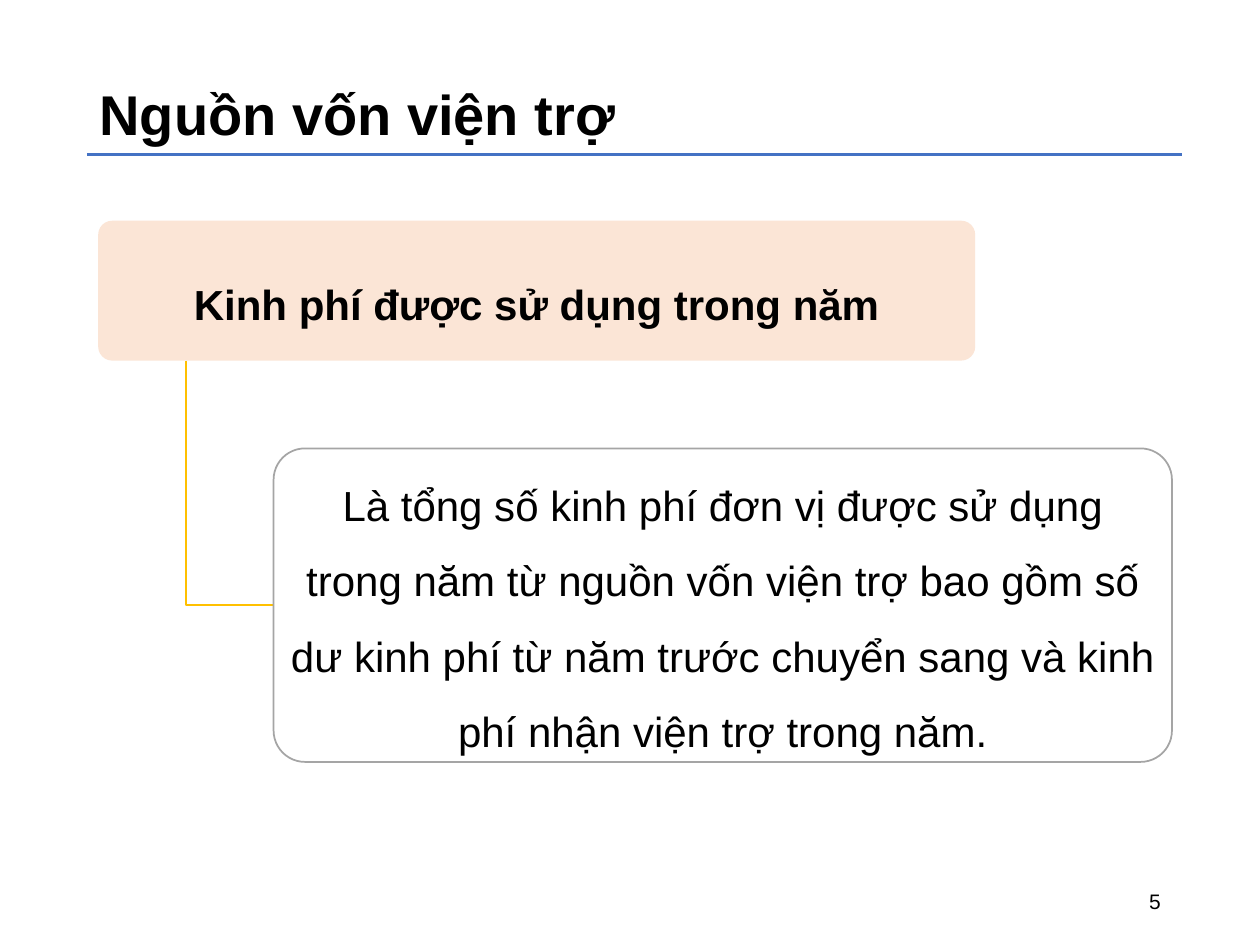
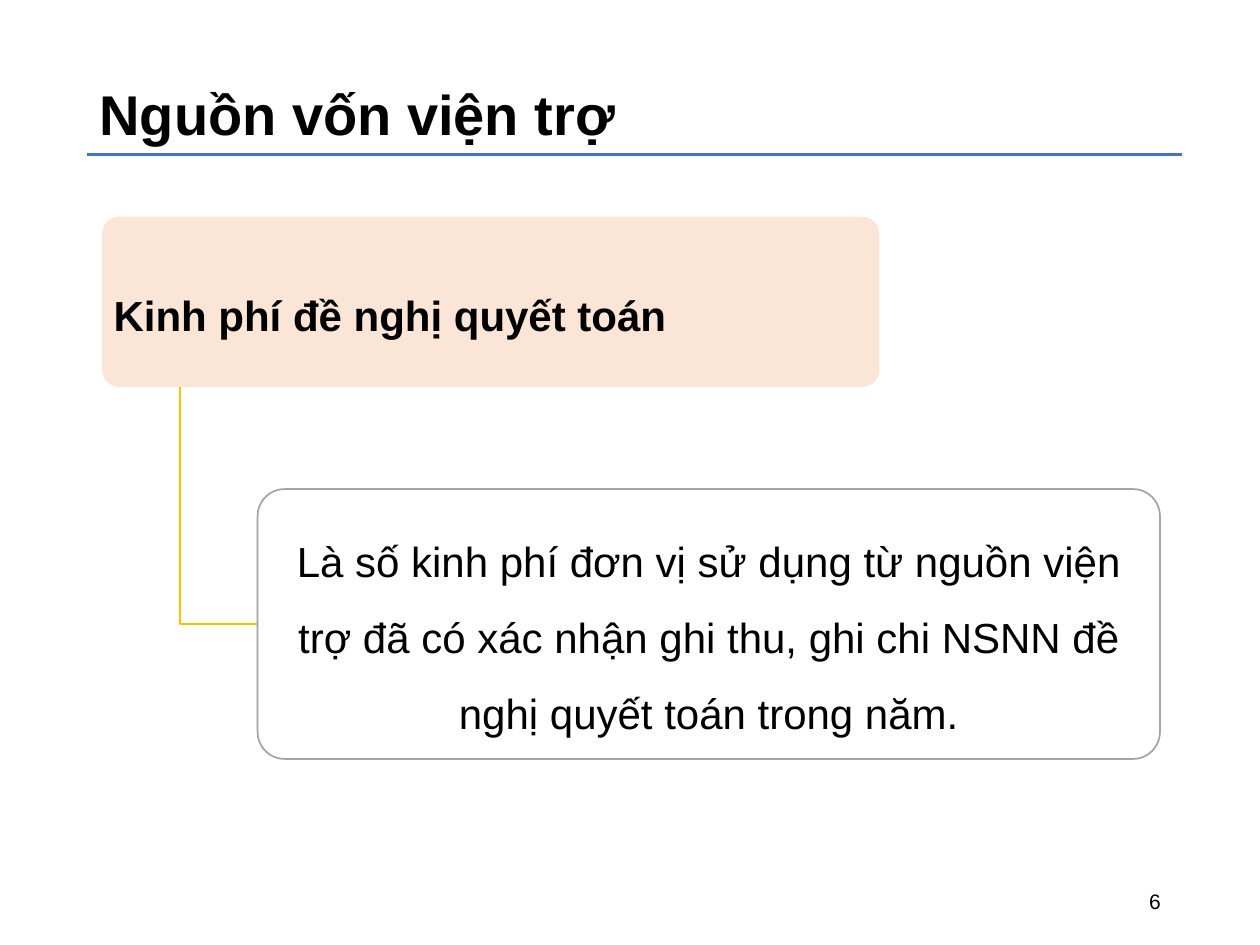
from collections import namedtuple

from lxml.etree import SubElement
from pptx import Presentation
from pptx.dml.color import RGBColor
from pptx.enum.shapes import MSO_CONNECTOR, MSO_SHAPE
from pptx.enum.text import MSO_ANCHOR, MSO_AUTO_SIZE, PP_ALIGN
from pptx.oxml.ns import qn
from pptx.util import Cm, Pt

COLORS = {
    "text": "000000",
    "rule": "4472C4",
    "heading": "FBE5D6",
    "elbow": "FFC000",
    "detail": "FFFFFF",
    "border": "A5A5A5",
}
FONT = "Arial"
TITLE = "Nguồn vốn viện trợ"
FIRST_NUMBER = 5

Box = namedtuple("Box", "left top width height")

TITLE_BOX = Box(Cm(1.75), Cm(1.47), Cm(12.7), Cm(1.63))
NUMBER_BOX = Box(Cm(17.93), Cm(17.65), Cm(5.72), Cm(1.02))
RULE = Box(Cm(1.75), Cm(3.12), Cm(22.08), Cm(0))

TOPICS = [
    {
        "heading": "Kinh phí được sử dụng trong năm",
        "align": PP_ALIGN.CENTER,
        "heading_box": Box(Cm(1.98), Cm(4.45), Cm(17.68), Cm(2.82)),
        "detail": "Là tổng số kinh phí đơn vị được sử dụng trong năm từ nguồn vốn "
                  "viện trợ bao gồm số dư kinh phí từ năm trước chuyển sang và kinh "
                  "phí nhận viện trợ trong năm.",
        "detail_top": Cm(9.04),
        "detail_size": (Cm(18.11), Cm(6.32)),
    },
    {
        "heading": "Kinh phí đề nghị quyết toán",
        "align": PP_ALIGN.LEFT,
        "heading_box": Box(Cm(2.06), Cm(4.37), Cm(15.67), Cm(3.43)),
        "detail": "Là số kinh phí đơn vị sử dụng từ nguồn viện trợ đã có xác nhận "
                  "ghi thu, ghi chi NSNN đề nghị quyết toán trong năm.",
        "detail_top": Cm(9.86),
        "detail_size": (Cm(18.19), Cm(5.44)),
    },
]


def color(name):
    return RGBColor.from_string(COLORS[name])


def write(shape, text, size, align, bold=False, anchor=MSO_ANCHOR.MIDDLE):
    frame = shape.text_frame
    frame.word_wrap = True
    frame.auto_size = MSO_AUTO_SIZE.NONE
    frame.vertical_anchor = anchor
    frame.text = text
    para = frame.paragraphs[0]
    para.alignment = align
    span = para.runs[0]
    span.font.name = FONT
    span.font.size = Pt(size)
    span.font.bold = bold
    span.font.color.rgb = color("text")
    return frame


def stroke(shape, name, width):
    shape.line.color.rgb = color(name)
    shape.line.width = Pt(width)


def add_rule_to_layout(page, box):
    rule = page.shapes.add_connector(
        MSO_CONNECTOR.STRAIGHT, box.left, box.top, box.left + box.width, box.top)
    stroke(rule, "rule", 1.5)
    SubElement(rule.element.spPr, qn("a:effectLst"))
    page.slide_layout.element.cSld.spTree.append(rule.element)


def add_title(page, box):
    title = page.shapes.title
    title.left, title.top, title.width, title.height = box
    write(title, TITLE, 32, PP_ALIGN.LEFT, bold=True, anchor=MSO_ANCHOR.TOP)


def add_number(page, box, number):
    write(page.shapes.add_textbox(*box), str(number), 12, PP_ALIGN.RIGHT)


def add_card(page, box, text, align, fill, bold=False):
    card = page.shapes.add_shape(MSO_SHAPE.ROUNDED_RECTANGLE, *box)
    card.adjustments[0] = 0.1
    card.shadow.inherit = False
    card.fill.solid()
    card.fill.fore_color.rgb = color(fill)
    card.line.fill.background()
    frame = write(card, text, 24, align, bold)
    frame.margin_left = frame.margin_right = Cm(0.13)
    frame.margin_top = frame.margin_bottom = Cm(0.08)
    frame.paragraphs[0].line_spacing = 1.5
    return card


def add_elbow(page, heading_box, detail_box):
    x = heading_box.left + heading_box.width // 10
    middle = detail_box.top + detail_box.height // 2
    builder = page.shapes.build_freeform(x, heading_box.top + heading_box.height)
    builder.add_line_segments([(x, middle), (detail_box.left, middle)], close=False)
    elbow = builder.convert_to_shape()
    elbow.shadow.inherit = False
    elbow.fill.background()
    stroke(elbow, "elbow", 1.5)


def add_topic(page, topic):
    heading_box = topic["heading_box"]
    detail_left = heading_box.left + heading_box.width // 5
    detail_box = Box(detail_left, topic["detail_top"], *topic["detail_size"])
    add_card(page, heading_box, topic["heading"], topic["align"], "heading", bold=True)
    add_elbow(page, heading_box, detail_box)
    detail = add_card(page, detail_box, topic["detail"], PP_ALIGN.CENTER, "detail")
    stroke(detail, "border", 1)
    tint = detail.element.spPr.find(qn("a:solidFill")).find(qn("a:srgbClr"))
    SubElement(tint, qn("a:alpha"), val="90000")


def main():
    deck = Presentation()
    deck.slide_width, deck.slide_height = Cm(25.4), Cm(19.05)
    layout = deck.slide_layouts.get_by_name("Title Only")
    for number, topic in enumerate(TOPICS, FIRST_NUMBER):
        page = deck.slides.add_slide(layout)
        if number == FIRST_NUMBER:
            add_rule_to_layout(page, RULE)
        add_number(page, NUMBER_BOX, number)
        add_title(page, TITLE_BOX)
        add_topic(page, topic)
    deck.save("out.pptx")


if __name__ == "__main__":
    main()
